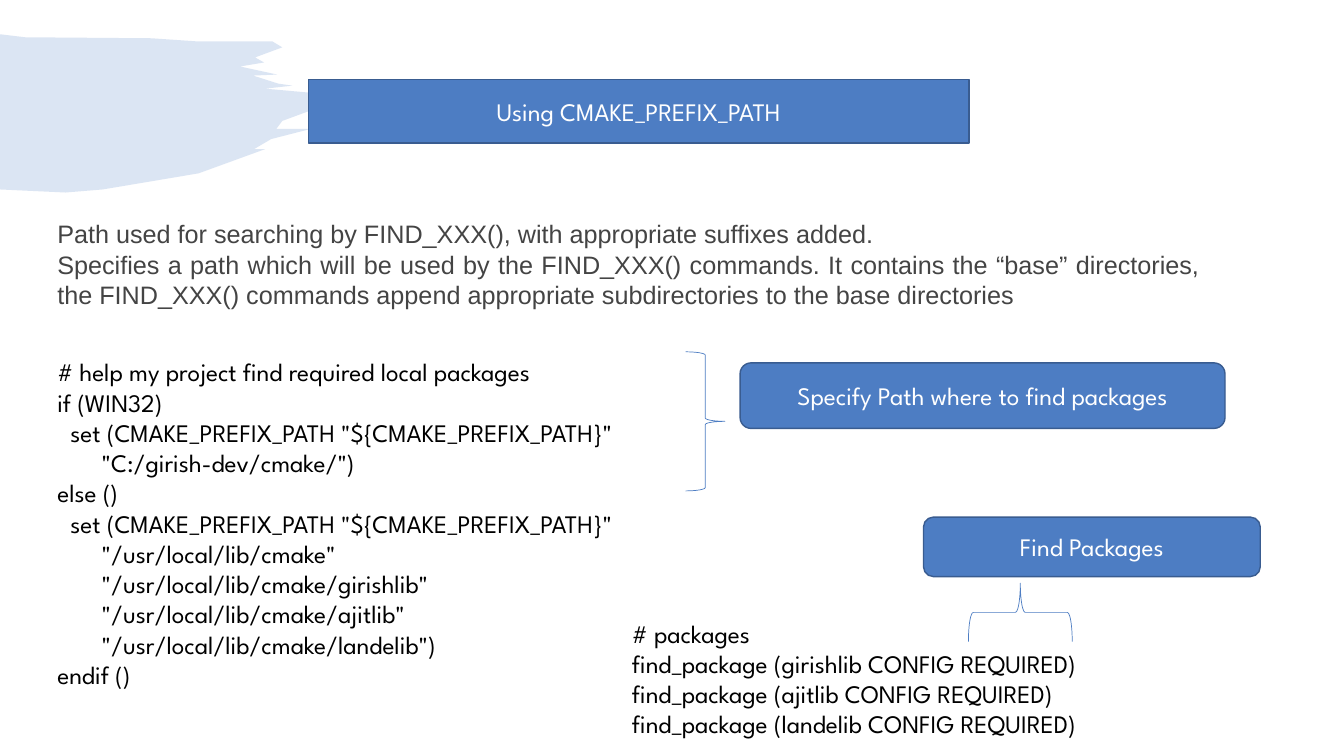
from lxml.etree import SubElement
from pptx import Presentation
from pptx.dml.color import RGBColor
from pptx.enum.shapes import MSO_SHAPE
from pptx.enum.text import MSO_ANCHOR, MSO_AUTO_SIZE, PP_ALIGN
from pptx.oxml import parse_xml
from pptx.oxml.ns import nsdecls, qn
from pptx.util import Inches, Pt

BLUE, EDGE, WHITE, BLACK, GREY = "4D7DC3", "395C90", "FFFFFF", "000000", "444444"
CODE_FONT = "League Spartan"
STEP_INDENT, VALUE_INDENT = 0.13, 0.44

BRUSH_OUTLINE = [
    (0, 0), (0.25, 0.03), (1.5, 0.04), (1.94, 0.07), (2.7, 0.07), (2.8, 0.13),
    (2.53, 0.23), (2.62, 0.28), (2.38, 0.32), (2.75, 0.4), (2.51, 0.41),
    (2.76, 0.49), (2.9, 0.51), (2.63, 0.54), (3.3, 0.6), (3.18, 0.72),
    (2.8, 0.86), (2.74, 0.94), (3.08, 0.94), (2.69, 1.04), (2.52, 1.14),
    (2.63, 1.14), (1.97, 1.38), (1.02, 1.54), (0.65, 1.57), (0, 1.54),
]

PREFIX_CODE = [
    ("# help my project find required local packages", 0),
    ("if (WIN32)", 0),
    ('set (CMAKE_PREFIX_PATH "${CMAKE_PREFIX_PATH}"', STEP_INDENT),
    ('"C:/girish-dev/cmake/")', VALUE_INDENT),
    ("else ()", 0),
    ('set (CMAKE_PREFIX_PATH "${CMAKE_PREFIX_PATH}"', STEP_INDENT),
    ('"/usr/local/lib/cmake"', VALUE_INDENT),
    ('"/usr/local/lib/cmake/girishlib"', VALUE_INDENT),
    ('"/usr/local/lib/cmake/ajitlib"', VALUE_INDENT),
    ('"/usr/local/lib/cmake/landelib")', VALUE_INDENT),
    ("endif ()", 0),
]
PACKAGE_CODE = [("# packages", 0)] + [
    (f"find_package ({library} CONFIG REQUIRED)", 0)
    for library in ("girishlib", "ajitlib", "landelib")
]
DESCRIPTION = [
    ("Path used for searching by FIND_XXX(), with appropriate suffixes added.", 0),
    ("Specifies a path which will be used by the FIND_XXX() commands. It contains the "
     "“base” directories, the FIND_XXX() commands append appropriate subdirectories "
     "to the base directories", 0),
]


def paint(color_format, color):
    color_format.rgb = RGBColor.from_string(color)


def outline(shape, color, width):
    paint(shape.line.color, color)
    shape.line.width = Pt(width)


def write(frame, lines, font, color, align):
    frame.word_wrap = True
    frame.text = "\n".join(text for text, _ in lines)
    for paragraph, (_, indent) in zip(frame.paragraphs, lines):
        paragraph.alignment = align
        if indent:
            paragraph._p.get_or_add_pPr().set("marL", str(Inches(indent)))
        for run in paragraph.runs:
            run.font.name, run.font.size = font, Pt(18)
            paint(run.font.color, color)


def style_label(shape, text):
    shape.fill.solid()
    paint(shape.fill.fore_color, BLUE)
    outline(shape, EDGE, 1)
    frame = shape.text_frame
    frame.auto_size = MSO_AUTO_SIZE.NONE
    frame.vertical_anchor = MSO_ANCHOR.MIDDLE
    write(frame, [(text, 0)], CODE_FONT, WHITE, PP_ALIGN.CENTER)


def add_title(slide, box, text):
    title = slide.shapes.title
    title.left, title.top, title.width, title.height = map(Inches, box)
    title._element.spPr.append(parse_xml(
        f'<a:prstGeom {nsdecls("a")} prst="roundRect"><a:avLst/></a:prstGeom>'))
    style_label(title, text)


def add_label(slide, box, text):
    label = slide.shapes.add_shape(MSO_SHAPE.ROUNDED_RECTANGLE, *map(Inches, box))
    label.shadow.inherit = False
    style_label(label, text)


def add_brace(slide, box, rotation=0):
    brace = slide.shapes.add_shape(MSO_SHAPE.RIGHT_BRACE, *map(Inches, box))
    brace.shadow.inherit = False
    brace.fill.background()
    outline(brace, BLUE, 0.5)
    brace.rotation = rotation


def add_text(slide, box, lines, font=CODE_FONT, color=BLACK, align=PP_ALIGN.LEFT):
    frame = slide.shapes.add_textbox(*map(Inches, box)).text_frame
    write(frame, lines, font, color, align)


def add_brush_stroke(slide, left, top):
    points = [(Inches(left + x), Inches(top + y)) for x, y in BRUSH_OUTLINE]
    builder = slide.shapes.build_freeform(*points[0])
    builder.add_line_segments(points[1:], close=True)
    brush = builder.convert_to_shape()
    brush.shadow.inherit = False
    brush.line.fill.background()
    brush.fill.solid()
    paint(brush.fill.fore_color, BLUE)
    tint = brush._element.spPr.find(qn("a:solidFill"))[0]
    SubElement(tint, qn("a:alpha")).set("val", "20000")
    slide.shapes.title._element.addprevious(brush._element)


def build_prefix_slide(presentation):
    slide = presentation.slides.add_slide(presentation.slide_layouts[5])
    add_title(slide, (3.06, 0.79, 6.55, 0.63), "Using CMAKE_PREFIX_PATH")
    add_brush_stroke(slide, 0, 0.34)
    add_text(slide, (0.47, 2.12, 11.53, 1.01), DESCRIPTION, "Arial", GREY, PP_ALIGN.JUSTIFY)
    add_text(slide, (0.47, 3.49, 8.35, 3.43), PREFIX_CODE)
    add_text(slide, (6.17, 6.08, 6.67, 1.31), PACKAGE_CODE)
    add_label(slide, (7.34, 3.6, 4.81, 0.65), "Specify Path where to find packages")
    add_label(slide, (9.16, 5.13, 3.34, 0.59), "Find Packages")
    add_brace(slide, (6.8, 3.49, 0.39, 1.38))
    add_brace(slide, (9.83, 5.56, 0.58, 1.03), 270)


presentation = Presentation()
presentation.slide_width, presentation.slide_height = Inches(13.33), Inches(7.5)
build_prefix_slide(presentation)
presentation.save("out.pptx")
